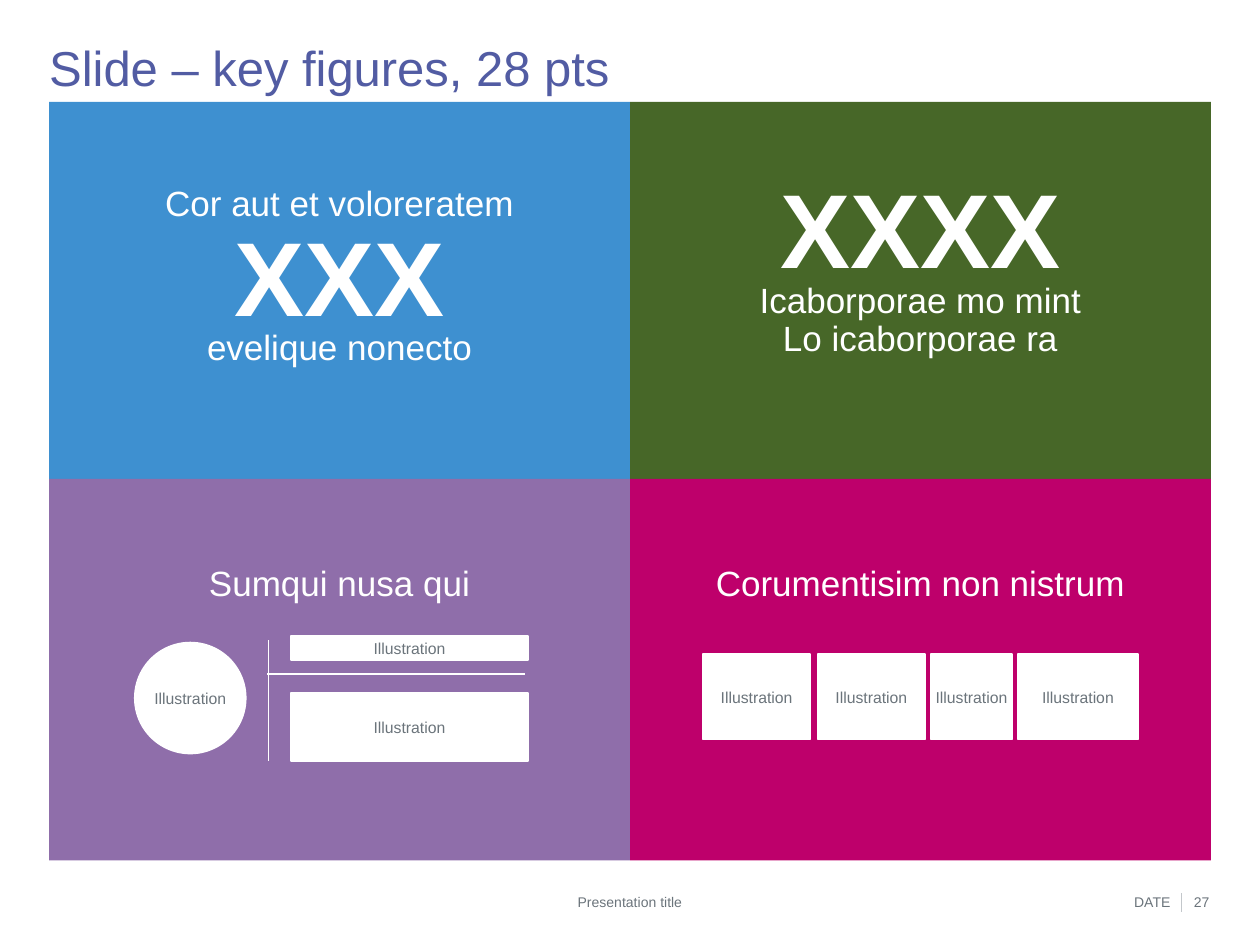
from dataclasses import dataclass
from lxml.etree import SubElement
from pptx import Presentation
from pptx.dml.color import RGBColor
from pptx.enum.shapes import MSO_CONNECTOR, MSO_SHAPE
from pptx.enum.text import MSO_ANCHOR, MSO_AUTO_SIZE, PP_ALIGN
from pptx.oxml.ns import qn
from pptx.slide import Slide
from pptx.util import Inches, Pt

WHITE = RGBColor(0xFF, 0xFF, 0xFF)
INDIGO = RGBColor(0x52, 0x5C, 0xA3)
GREY = RGBColor(0x6B, 0x74, 0x7B)
LIGHT_GREY = RGBColor(0xC3, 0xC7, 0xCB)
BLUE = RGBColor(0x3E, 0x90, 0xD0)
GREEN = RGBColor(0x47, 0x67, 0x28)
PURPLE = RGBColor(0x8F, 0x6E, 0xAA)
MAGENTA = RGBColor(0xBE, 0x00, 0x6B)

LEFT, MIDDLE, TILE_WIDTH = 0.39, 5, 4.61


@dataclass
class SlideBuilder:
    slide: Slide
    font_name: str = "Arial"

    def set_text(self, shape, text, size, color, align=PP_ALIGN.CENTER,
                 anchor=MSO_ANCHOR.TOP, spacing=1.0, bold=False):
        frame = shape.text_frame
        frame.text = text
        frame.word_wrap = True
        frame.auto_size = MSO_AUTO_SIZE.NONE
        frame.vertical_anchor = anchor
        frame.margin_left = frame.margin_right = 0
        frame.margin_top = frame.margin_bottom = 0
        for para in frame.paragraphs:
            para.alignment = align
            para.line_spacing = spacing
            para.space_before = Pt(0)
            if shape.is_placeholder:
                properties = para._p.get_or_add_pPr()
                properties.set("marL", "0")
                properties.set("indent", "0")
                SubElement(properties, qn("a:buNone"))
            for run in para.runs:
                run.font.name = self.font_name
                run.font.size = Pt(size)
                run.font.bold = bold
                run.font.color.rgb = color

    def placeholder(self, index, left, top, width, height, text, size, color, **style):
        shape = next(holder for holder in self.slide.placeholders
                     if holder.placeholder_format.idx == index)
        shape.left, shape.top = Inches(left), Inches(top)
        shape.width, shape.height = Inches(width), Inches(height)
        self.slide.shapes._spTree.append(shape._element)
        self.set_text(shape, text, size, color, spacing=0.9, **style)

    def text(self, left, top, width, height, text, size, color, **style):
        box = self.slide.shapes.add_textbox(
            Inches(left), Inches(top), Inches(width), Inches(height))
        self.set_text(box, text, size, color, **style)

    def shape(self, left, top, width, height, fill, kind=MSO_SHAPE.RECTANGLE):
        shape = self.slide.shapes.add_shape(
            kind, Inches(left), Inches(top), Inches(width), Inches(height))
        shape.shadow.inherit = False
        shape.fill.solid()
        shape.fill.fore_color.rgb = fill
        shape.line.fill.background()
        return shape

    def illustration(self, left, top, width, height, kind=MSO_SHAPE.RECTANGLE):
        shape = self.shape(left, top, width, height, WHITE, kind)
        shape.line.color.rgb = WHITE
        shape.line.width = Pt(1)
        self.set_text(shape, "Illustration", 9, GREY, anchor=MSO_ANCHOR.MIDDLE)

    def line(self, start_x, start_y, end_x, end_y, color, width):
        line = self.slide.shapes.add_connector(
            MSO_CONNECTOR.STRAIGHT, Inches(start_x), Inches(start_y),
            Inches(end_x), Inches(end_y))
        line.line.color.rgb = color
        line.line.width = Pt(width)
        SubElement(line._element.spPr, qn("a:effectLst"))


def main():
    deck = Presentation()
    deck.slide_width, deck.slide_height = Inches(10), Inches(7.5)
    page = SlideBuilder(deck.slides.add_slide(deck.slide_layouts.get_by_name("Comparison")))

    for top, height, colors in ((0.81, 3, (BLUE, GREEN)), (3.8, 3.03, (PURPLE, MAGENTA))):
        for left, color in zip((LEFT, MIDDLE), colors):
            page.shape(left, top, TILE_WIDTH, height, color)

    page.placeholder(0, LEFT, 0.35, 9.21, 0.42, "Slide – key figures, 28 pts", 28, INDIGO,
                     align=PP_ALIGN.LEFT, anchor=MSO_ANCHOR.MIDDLE)

    statements = (
        (1, LEFT, 1.48, 0.5, "Cor aut et voloreratem"),
        (2, MIDDLE, 2.25, 1.15, "Icaborporae mo mint\nLo icaborporae ra"),
        (3, LEFT, 4.49, 0.3, "Sumqui nusa qui"),
        (4, MIDDLE, 4.49, 0.3, "Corumentisim non nistrum"),
    )
    for index, left, top, height, text in statements:
        page.placeholder(index, left, top, TILE_WIDTH, height, text, 20, WHITE)

    page.text(LEFT, 1.79, TILE_WIDTH, 0.83, "XXX", 60, WHITE, spacing=0.9, bold=True)
    page.text(LEFT, 2.62, TILE_WIDTH, 0.5, "evelique nonecto", 20, WHITE, spacing=0.9)
    page.text(MIDDLE, 1.41, TILE_WIDTH, 0.84, "XXXX", 60, WHITE, spacing=0.9, bold=True)

    page.line(2.13, 5.08, 2.13, 6.04, WHITE, 0.75)
    page.line(2.12, 5.35, 4.17, 5.35, WHITE, 0.75)
    page.illustration(1.07, 5.1, 0.88, 0.88, MSO_SHAPE.OVAL)
    for top, height in ((5.05, 0.19), (5.5, 0.54)):
        page.illustration(2.31, top, 1.88, height)
    for left, width in ((5.58, 0.85), (6.49, 0.85), (7.39, 0.64), (8.08, 0.95)):
        page.illustration(left, 5.19, width, 0.68)

    page.line(9.38, 7.09, 9.38, 7.24, LIGHT_GREY, 0.5)
    for left, width, text, align in (
        (8.44, 0.85, "DATE", PP_ALIGN.RIGHT),
        (1.37, 7.26, "Presentation title", PP_ALIGN.CENTER),
        (9.26, 0.34, "27", PP_ALIGN.RIGHT),
    ):
        page.text(left, 7.09, width, 0.13, text, 8, GREY, align=align)

    deck.save("out.pptx")


if __name__ == "__main__":
    main()
